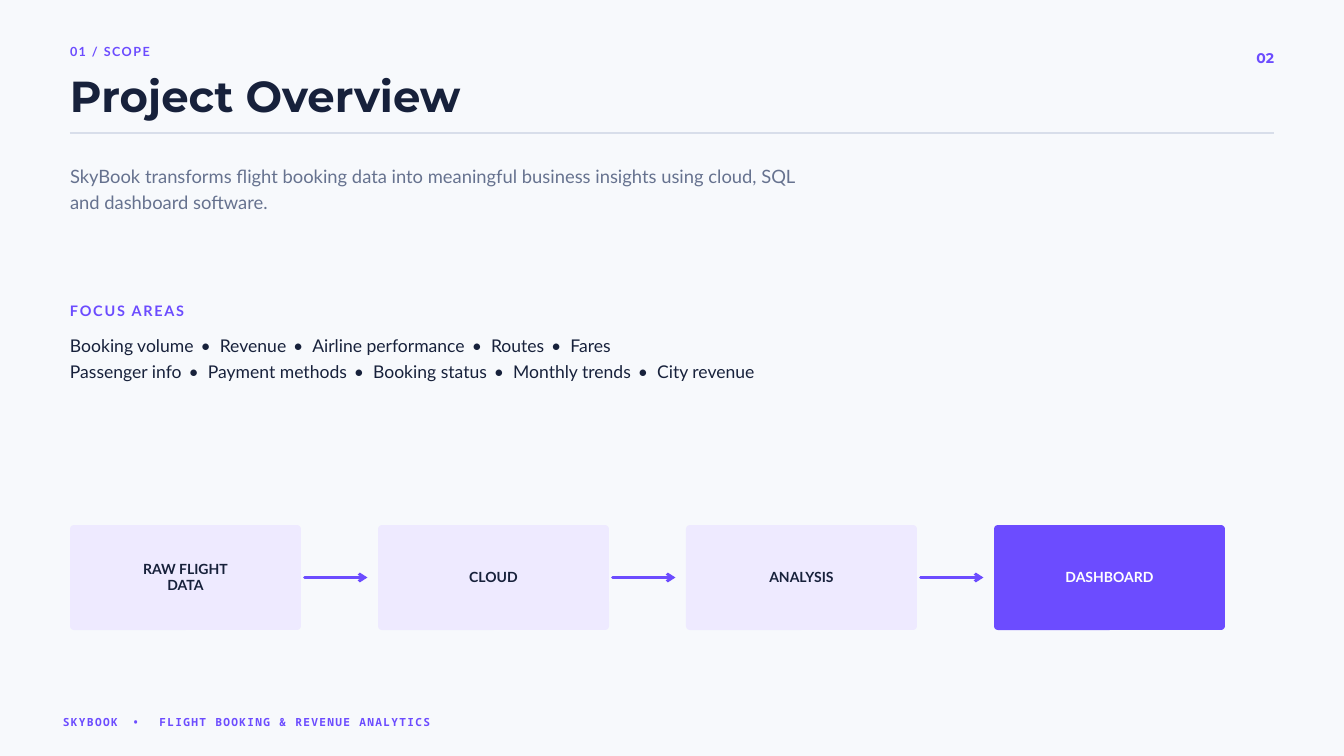
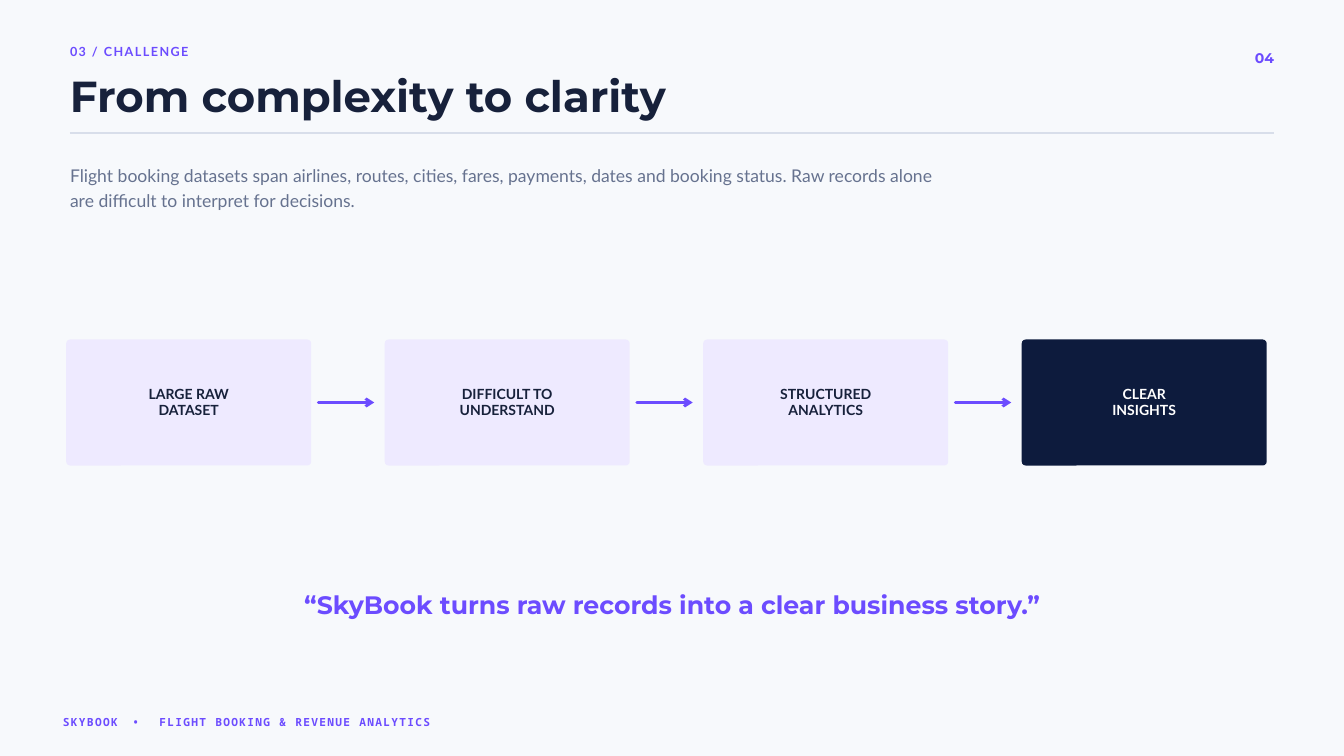
import pptx
import pptx.util
import pptx.dml.color
import pptx.enum.shapes
import pptx.enum.text
import pptx.oxml.ns
import lxml.etree

Pt = pptx.util.Pt
RGBColor = pptx.dml.color.RGBColor
ALIGN = pptx.enum.text.PP_ALIGN
ANCHOR = pptx.enum.text.MSO_ANCHOR
qn = pptx.oxml.ns.qn

PAPER = RGBColor(0xF7, 0xF9, 0xFC)
INK = RGBColor(0x17, 0x21, 0x3B)
MUTED = RGBColor(0x66, 0x72, 0x8F)
VIOLET = RGBColor(0x6C, 0x4C, 0xFF)
LAVENDER = RGBColor(0xEE, 0xEA, 0xFF)
NAVY = RGBColor(0x0D, 0x1B, 0x3D)
RULE = RGBColor(0xD8, 0xDE, 0xEA)
WHITE = RGBColor(0xFF, 0xFF, 0xFF)

BODY, HEADING, MONO = "Lato", "Montserrat", "Noto Sans Mono"
MARGIN, CONTENT_WIDTH = 75, 1290
CORNER_RADIUS = 4.2
SEPARATOR = " • "


def fill_frame(frame, text, size, color, leading, font=BODY, bold=False,
               align=ALIGN.LEFT, tracking=0, separator_tracking=0):
    """Write each line of text as a paragraph, with wider tracking on separators."""
    frame.word_wrap = True
    for index, line in enumerate(text.split("\n")):
        paragraph = frame.paragraphs[0] if index == 0 else frame.add_paragraph()
        paragraph.alignment = align
        paragraph.line_spacing = Pt(leading)
        for position, phrase in enumerate(line.split(SEPARATOR)):
            pieces = [(phrase, tracking)]
            if position:
                pieces.insert(0, (SEPARATOR, separator_tracking))
            for words, spacing in pieces:
                run = paragraph.add_run()
                run.text = words
                run.font.name = font
                run.font.size = Pt(size)
                run.font.bold = bold
                run.font.color.rgb = color
                if spacing:
                    run._r.get_or_add_rPr().set("spc", str(round(spacing * 100)))


def add_text(slide, box, text, **text_format):
    """Add a text box without insets at (left, top, width, height)."""
    caption = slide.shapes.add_textbox(*map(Pt, box))
    frame = caption.text_frame
    frame.margin_left = frame.margin_right = frame.margin_top = frame.margin_bottom = 0
    frame.auto_size = pptx.enum.text.MSO_AUTO_SIZE.SHAPE_TO_FIT_TEXT
    fill_frame(frame, text, **text_format)


def add_line(slide, left, top, length, color, width, arrow=False):
    """Draw a horizontal line, with an open arrowhead on request."""
    line = slide.shapes.add_connector(
        pptx.enum.shapes.MSO_CONNECTOR.STRAIGHT,
        Pt(left), Pt(top), Pt(left + length), Pt(top))
    line.line.color.rgb = color
    line.line.width = Pt(width)
    properties = line._element.spPr
    if arrow:
        outline = properties.find(qn("a:ln"))
        outline.set("cap", "rnd")
        lxml.etree.SubElement(outline, qn("a:tailEnd")).set("type", "arrow")
    lxml.etree.SubElement(properties, qn("a:effectLst"))


def add_step(slide, box, label, fill, color):
    """Add one rounded step with its centred label."""
    step = slide.shapes.add_shape(
        pptx.enum.shapes.MSO_SHAPE.ROUNDED_RECTANGLE, *map(Pt, box))
    step.adjustments[0] = CORNER_RADIUS / box[3]
    step.shadow.inherit = False
    step.fill.solid()
    step.fill.fore_color.rgb = fill
    step.line.fill.background()
    frame = step.text_frame
    frame.margin_left = frame.margin_right = frame.margin_top = frame.margin_bottom = Pt(4.5)
    frame.vertical_anchor = ANCHOR.MIDDLE
    fill_frame(frame, label, size=15, color=color, leading=17.2, bold=True,
               align=ALIGN.CENTER)


def add_flow(slide, box, labels, pitch, arrow_gap, arrow_length, final_fill):
    """Repeat steps from the first box at a fixed pitch, with arrows between them."""
    left, top, width, height = box
    last = len(labels) - 1
    for index, label in enumerate(labels):
        step_left = left + index * pitch
        fill, color = (final_fill, WHITE) if index == last else (LAVENDER, INK)
        add_step(slide, (step_left, top, width, height), label, fill, color)
        if index < last:
            add_line(slide, step_left + width + arrow_gap, top + height / 2,
                     arrow_length, VIOLET, 3, arrow=True)


def add_header(slide, box, section, title, number):
    """Place section label, title, page number and rule in the header box."""
    left, top, width, height = box
    add_text(slide, (left, top, 600, 18), section, size=13.5, color=VIOLET,
             leading=18.9, bold=True, tracking=1.6)
    add_text(slide, (left, top + 35.25, 1125, 50.2), title, size=46.5, color=INK,
             leading=50.2, font=HEADING, bold=True)
    add_text(slide, (left + width - 60, top + 5.75, 60, 21), number, size=15,
             color=VIOLET, leading=21, font=HEADING, bold=True, align=ALIGN.RIGHT)
    add_line(slide, left, top + height, width, RULE, 1.5)


def add_footer(slide, box):
    """Place the project line at the foot of the slide."""
    add_text(slide, box, "SKYBOOK • FLIGHT BOOKING & REVENUE ANALYTICS", size=12,
             color=VIOLET, leading=16.8, font=MONO, bold=True,
             tracking=1.4, separator_tracking=7.13)


def add_content_slide(presentation, section, title, number):
    """Start a slide with the shared background, header and footer."""
    slide = presentation.slides.add_slide(presentation.slide_layouts[6])
    slide.background.fill.solid()
    slide.background.fill.fore_color.rgb = PAPER
    add_header(slide, (MARGIN, 44, CONTENT_WIDTH, 98.5), section, title, number)
    add_footer(slide, (67.5, 763.5, 675, 16))
    return slide


def add_focus_areas(slide, box):
    """Place the focus heading and its two lines of topics."""
    left, top, width, height = box
    add_text(slide, (left, top, 225, 20), "FOCUS AREAS", size=15.5, color=VIOLET,
             leading=21.7, bold=True, tracking=1.9)
    add_text(slide, (left, top + 33, width, height - 33),
             "Booking volume • Revenue • Airline performance • Routes • Fares\n"
             "Passenger info • Payment methods • Booking status • Monthly trends"
             " • City revenue",
             size=18.8, color=INK, leading=28.1, separator_tracking=2.4)


def build_overview(presentation):
    """Build the project overview slide."""
    slide = add_content_slide(presentation, "01 / SCOPE", "Project Overview", "02")
    add_text(slide, (MARGIN, 172.5, 787.5, 55),
             "SkyBook transforms flight booking data into meaningful business "
             "insights using cloud, SQL and dashboard software.",
             size=19.7, color=MUTED, leading=28)
    add_focus_areas(slide, (MARGIN, 320.5, 1125, 88.5))
    add_flow(slide, (MARGIN, 562.5, 247.5, 112.5),
             ["RAW FLIGHT\nDATA", "CLOUD", "ANALYSIS", "DASHBOARD"],
             pitch=330, arrow_gap=3.75, arrow_length=67.5, final_fill=VIOLET)


def build_challenge(presentation):
    """Build the challenge slide."""
    slide = add_content_slide(presentation, "03 / CHALLENGE",
                              "From complexity to clarity", "04")
    add_text(slide, (MARGIN, 172.5, 937.5, 52),
             "Flight booking datasets span airlines, routes, cities, fares, payments, "
             "dates and booking status. Raw records alone are difficult to interpret "
             "for decisions.",
             size=18.8, color=MUTED, leading=26.6)
    add_flow(slide, (71, 363.75, 262.5, 135),
             ["LARGE RAW\nDATASET", "DIFFICULT TO\nUNDERSTAND",
              "STRUCTURED\nANALYTICS", "CLEAR\nINSIGHTS"],
             pitch=341.25, arrow_gap=7.5, arrow_length=60, final_fill=NAVY)
    add_text(slide, (187.5, 626.5, 1065, 36),
             "“SkyBook turns raw records into a clear business story.”",
             size=27, color=VIOLET, leading=37.8, font=HEADING, bold=True,
             align=ALIGN.CENTER)


def main():
    """Build and save the presentation."""
    presentation = pptx.Presentation()
    presentation.slide_width = Pt(1440)
    presentation.slide_height = Pt(810)
    build_overview(presentation)
    build_challenge(presentation)
    presentation.save("out.pptx")


if __name__ == "__main__":
    main()
